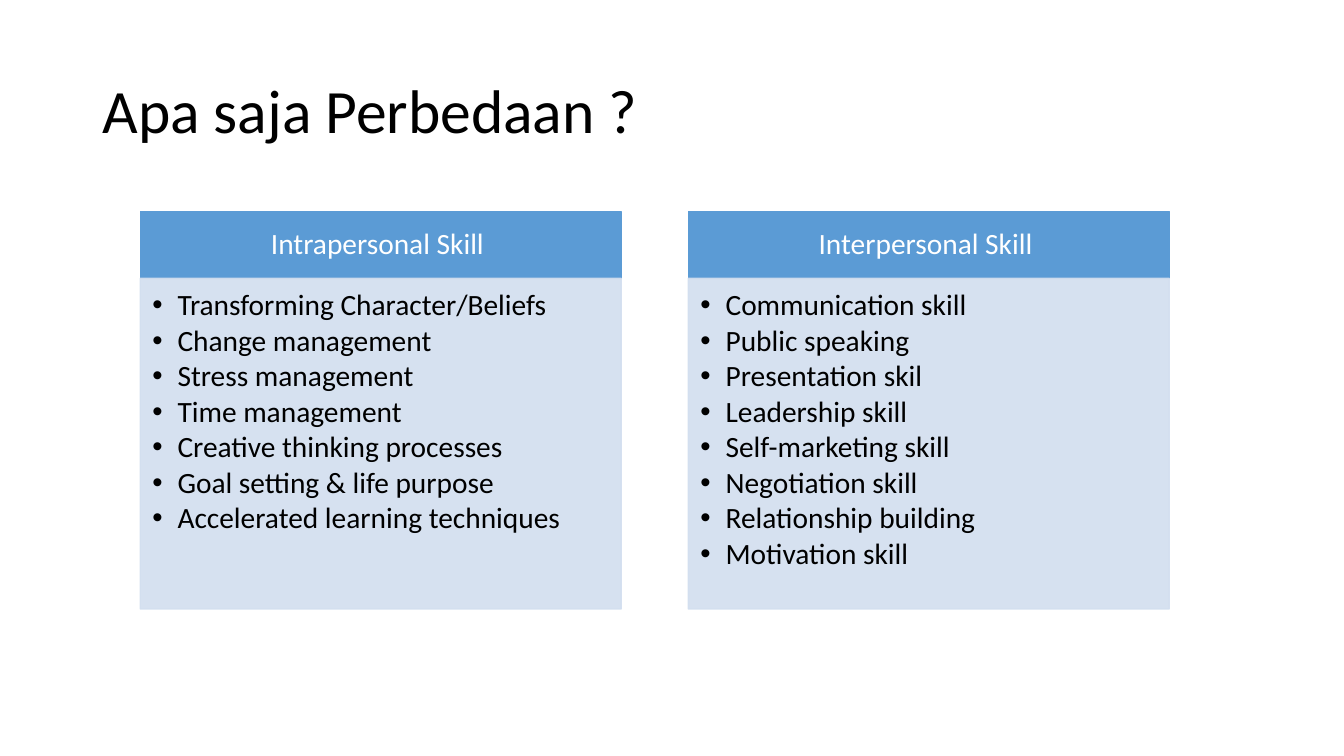
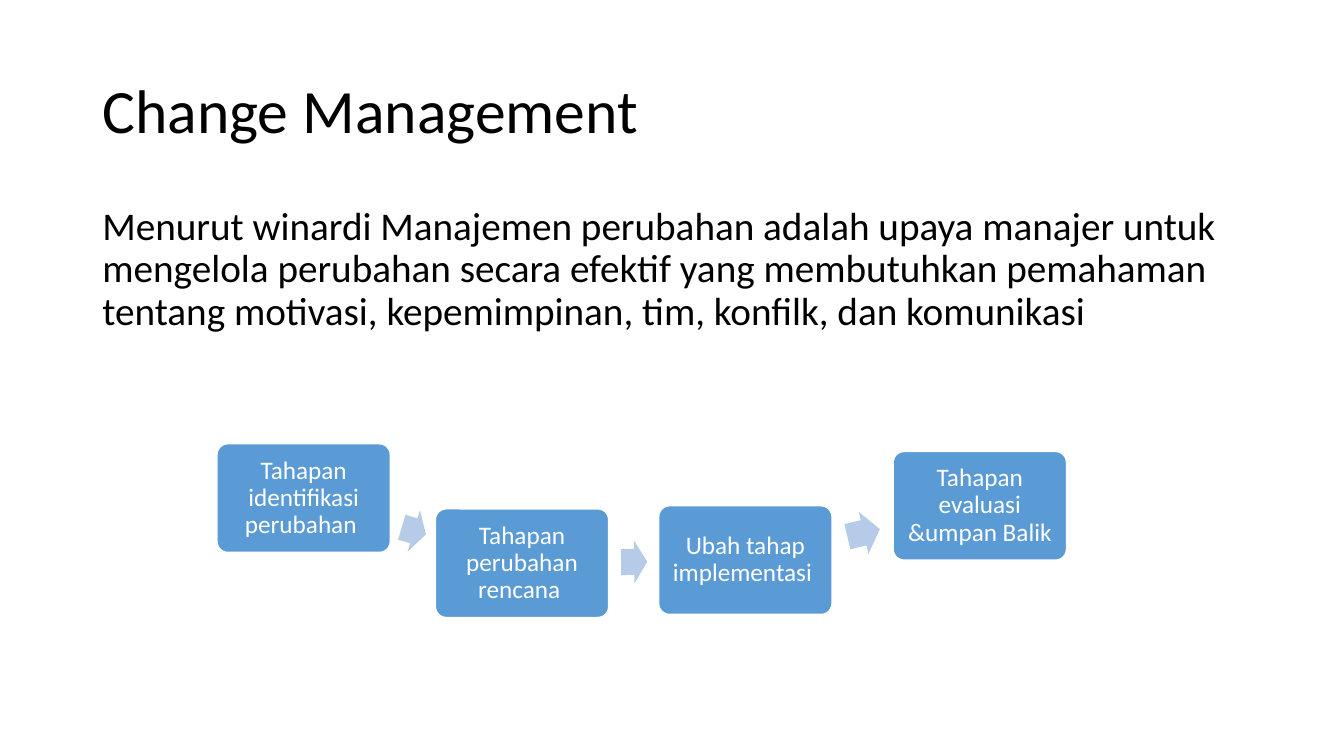
"""Build two slides on personal skills and change management."""
from lxml import etree
from pptx import Presentation
from pptx.dml.color import RGBColor
from pptx.enum import shapes, text
from pptx.oxml import ns
from pptx.util import Pt

BLACK, WHITE = "000000", "FFFFFF"
BLUE, PALE_BLUE, ARROW_BLUE = "5B9BD5", "D2DEEF", "B5CBE7"
MIDDLE, TOP = text.MSO_ANCHOR.MIDDLE, text.MSO_ANCHOR.TOP
LEFT, CENTER = text.PP_ALIGN.LEFT, text.PP_ALIGN.CENTER


def paint(shape, fill, line=None):
    shape.fill.solid()
    shape.fill.fore_color.rgb = RGBColor.from_string(fill)
    if line:
        shape.line.color.rgb = RGBColor.from_string(line)
        shape.line.width = Pt(1)
    else:
        shape.line.fill.background()


def write(shape, lines, box, size, color=BLACK, anchor=TOP, align=LEFT,
          insets=(7.2, 3.6, 7.2, 3.6), before=0, after=0):
    shape.left, shape.top, shape.width, shape.height = map(Pt, box)
    frame = shape.text_frame
    frame.text = "\n".join(lines)
    frame.word_wrap = True
    frame.auto_size = text.MSO_AUTO_SIZE.NONE
    frame.vertical_anchor = anchor
    (frame.margin_left, frame.margin_top,
     frame.margin_right, frame.margin_bottom) = map(Pt, insets)
    for paragraph in frame.paragraphs:
        paragraph.alignment = align
        paragraph.line_spacing = 0.9
        paragraph.space_before, paragraph.space_after = Pt(before), Pt(after)
        paragraph.font.name = "Calibri"
        paragraph.font.size = Pt(size)
        paragraph.font.bold = False
        paragraph.font.color.rgb = RGBColor.from_string(color)


presentation = Presentation()
presentation.slide_width, presentation.slide_height = Pt(960), Pt(540)
slides = []
for layout, title in ((4, "Apa saja Perbedaan ?"), (1, "Change Management")):
    slide = presentation.slides.add_slide(presentation.slide_layouts[layout])
    write(slide.shapes.title, [title], (66, 28.8, 828, 104.4), 44, anchor=MIDDLE)
    slides.append(slide)
comparison, process = slides

columns = [
    ("Intrapersonal Skill ", [
        "Transforming Character/Beliefs", "Change management",
        "Stress management", "Time management", "Creative thinking processes",
        "Goal setting & life purpose", "Accelerated learning techniques"]),
    ("Interpersonal Skill ", [
        "Communication skill", "Public speaking", "Presentation skil",
        "Leadership skill", "Self-marketing skill", "Negotiation skill",
        "Relationship building", "Motivation skill"]),
]
column_width, column_pitch = 343.5, 391.5
for index, (heading, skills) in enumerate(columns):
    left = 100.2 + index * column_pitch
    header = comparison.placeholders[1 + 2 * index]
    paint(header, BLUE, BLUE)
    write(header, [heading], (left, 151.2, column_width, 47.6), 21, WHITE,
          MIDDLE, CENTER, (11.5, 6.5, 11.5, 6.5))

    card = comparison.placeholders[2 + 2 * index]
    paint(card, PALE_BLUE, PALE_BLUE)
    for color in card.element.xpath("./p:spPr//a:srgbClr"):
        etree.SubElement(color, ns.qn("a:alpha"), val="90000")
    write(card, skills, (left, 198.8, column_width, 236.2), 21,
          insets=(8.6, 8.6, 11.5, 13), after=2.7)
    for properties in card.element.xpath(".//a:pPr"):
        properties.set("marL", str(Pt(18)))
        properties.set("indent", str(Pt(-18)))

definition = process.placeholders[1]
write(definition, [
    "Menurut winardi Manajemen perubahan adalah upaya manajer untuk mengelola "
    "perubahan secara efektif yang membutuhkan pemahaman tentang motivasi, "
    "kepemimpinan, tim, konfilk, dan komunikasi"],
    (66, 144, 828, 342.7), 28, before=10)
for properties in definition.element.xpath(".//a:pPr"):
    properties.set("marL", "0")
    properties.set("indent", "0")
    properties.find(ns.qn("a:defRPr")).addprevious(
        etree.Element(ns.qn("a:buNone")))

steps = [
    ("Tahapan identifikasi perubahan ", 155, 317),
    ("Tahapan perubahan rencana ", 311, 363.5),
    ("Ubah tahap implementasi ", 470.5, 361.3),
    ("Tahapan evaluasi &umpan Balik ", 638, 322.5),
]
for label, left, top in steps:
    box = (left, top, 123.8, 77.6)
    step = process.shapes.add_shape(
        shapes.MSO_SHAPE.ROUNDED_RECTANGLE, *map(Pt, box))
    step.adjustments[0] = 0.1
    step.shadow.inherit = False
    paint(step, BLUE, WHITE)
    write(step, [label], box, 18, WHITE, MIDDLE, CENTER, (7.2,) * 4)

arrows = [(286.6, 363.8, 18, 16.5), (443.6, 386, 18.7, -0.8),
          (605, 365.2, 23.8, -13.1)]
for left, top, width, rotation in arrows:
    arrow = process.shapes.add_shape(
        shapes.MSO_SHAPE.RIGHT_ARROW, Pt(left), Pt(top), Pt(width), Pt(30.8))
    arrow.adjustments[0], arrow.adjustments[1] = 0.6, 0.5
    arrow.rotation = rotation
    arrow.shadow.inherit = False
    paint(arrow, ARROW_BLUE)

presentation.save("out.pptx")
